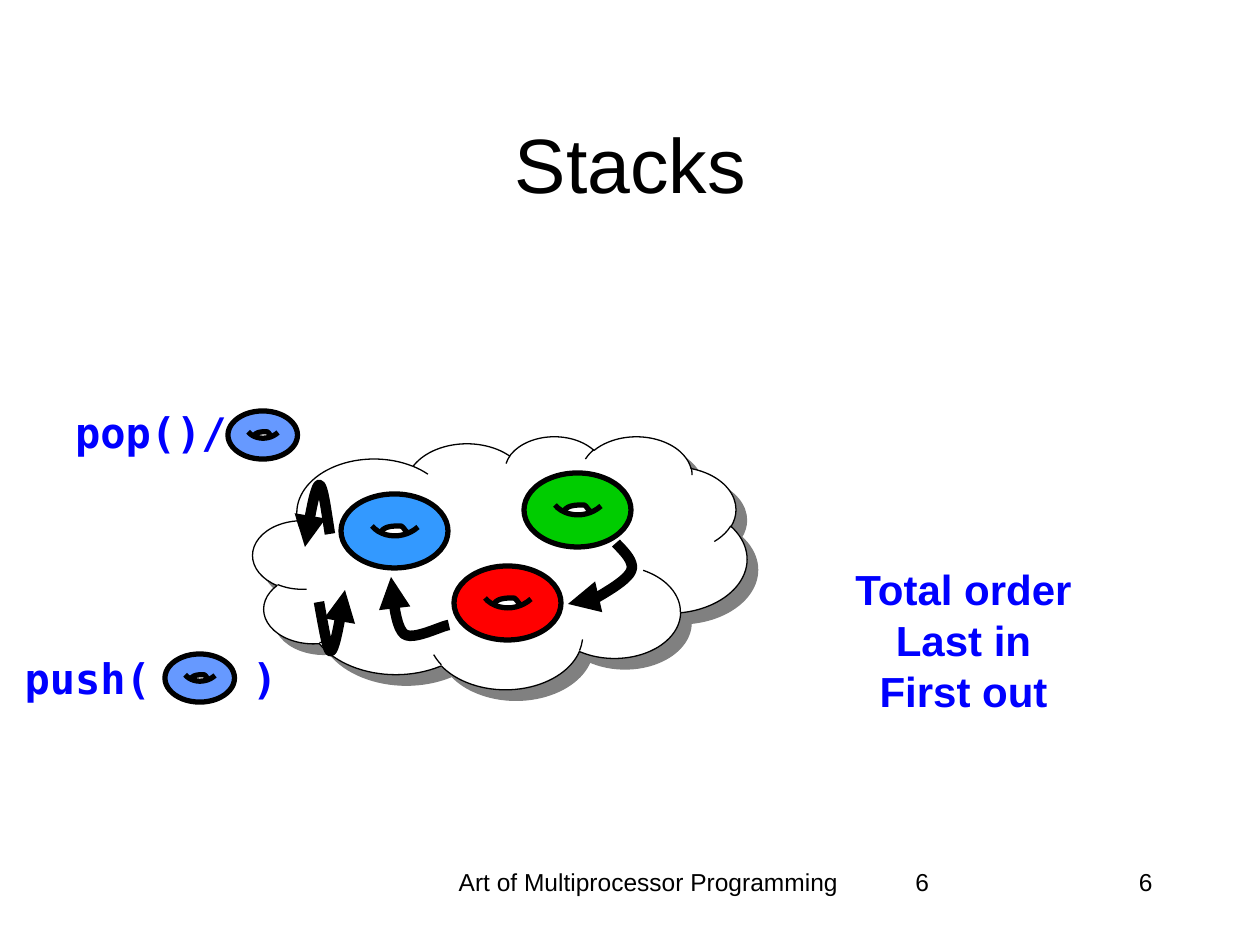
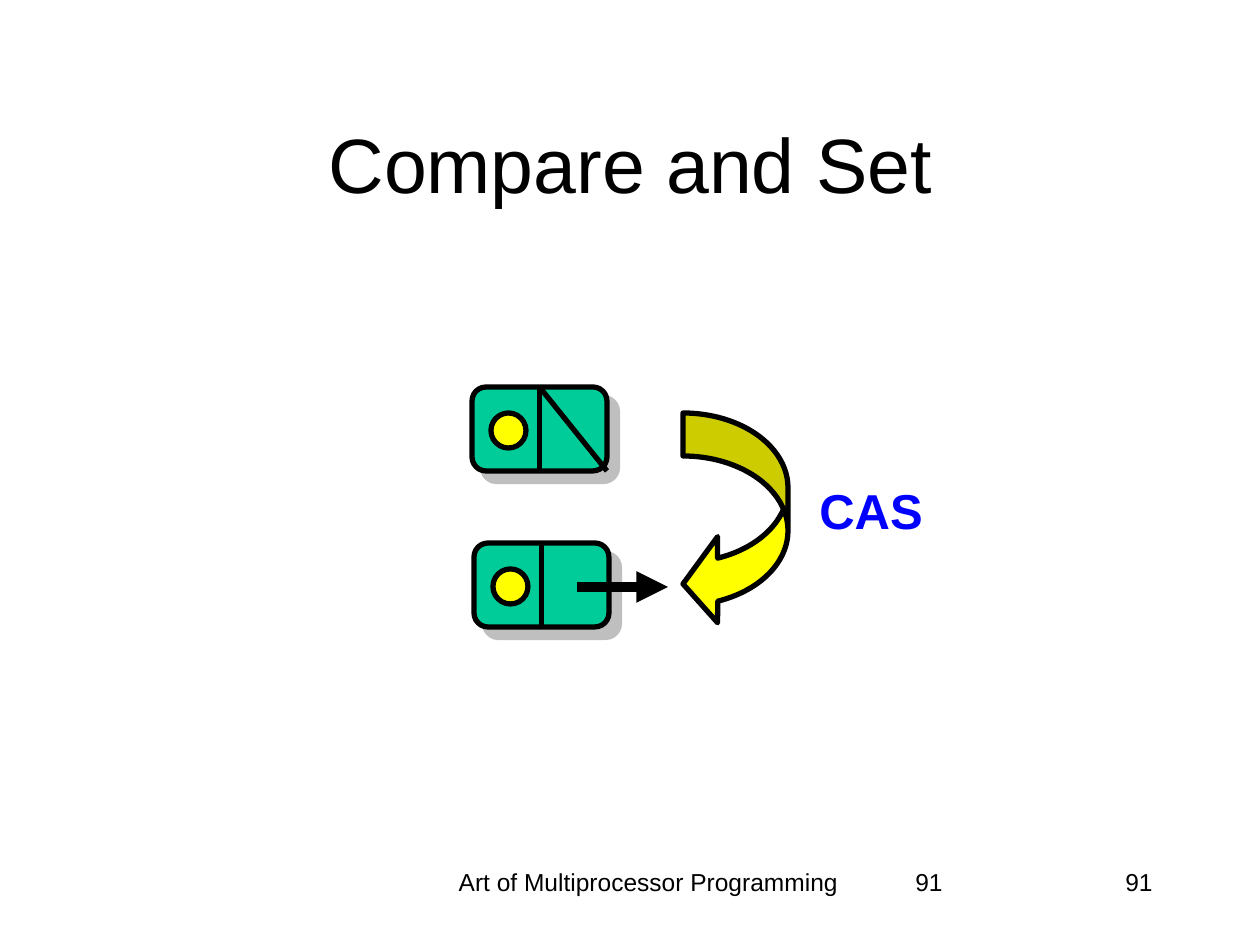
from lxml import etree
from pptx import Presentation
from pptx import util as u
from pptx.dml.color import RGBColor
from pptx.enum import shapes, text
from pptx.oxml.ns import qn

PX = 914400 / 126  # EMU in one px


class Theme:
    black, white, shade = "000000", "FFFFFF", "808080"
    blue, sky, pale = "0000FF", "3399FF", "6699FF"
    red, green, teal, yellow = "FF0000", "00CC00", "00CC99", "FFFF00"
    sans, mono = "Arial", "DejaVu Sans Mono"
    title, large, body, foot = 44, 28, 24, 14
    thin, line, thick = 0.75, 3, 6


def paint(shape, fill=None, width=Theme.line, head=False, alpha=0):
    """Set fill, line, arrowhead and shadow of a shape or connector."""
    if fill:
        shape.fill.solid()
        shape.fill.fore_color.rgb = RGBColor.from_string(fill)
    shape.line.color.rgb = RGBColor.from_string(Theme.black)
    shape.line.width = u.Pt(width)
    props = shape.element.spPr
    if head:
        etree.SubElement(props.find(qn("a:ln")), qn("a:tailEnd"), type="triangle")
    effect = etree.SubElement(props, qn("a:effectLst"))
    if alpha:
        drop = etree.SubElement(effect, qn("a:outerShdw"), dist=str(u.Pt(8.5)),
                                dir="2700000", algn="ctr", rotWithShape="0")
        tint = etree.SubElement(drop, qn("a:srgbClr"), val=Theme.shade)
        etree.SubElement(tint, qn("a:alpha"), val=str(alpha * 1000))


def label(slide, words, spot, size, color=Theme.black, font=Theme.sans,
          bold=False, align="CENTER", wrap=True, middle=False, tight=False):
    """Add a text box; each line of words is a paragraph."""
    frame = slide.shapes.add_textbox(*[round(n * PX) for n in spot]).text_frame
    frame.word_wrap = wrap
    if middle:
        frame.vertical_anchor = text.MSO_ANCHOR.MIDDLE
    frame.text = words
    for i, para in enumerate(frame.paragraphs):
        para.alignment = text.PP_ALIGN[align]
        if tight:
            para.line_spacing = 0.8
            para.space_before = u.Pt(6 if i else 0)
        para.font.name, para.font.size, para.font.bold = font, u.Pt(size), bold
        para.font.color.rgb = RGBColor.from_string(color)


kind = shapes.MSO_SHAPE
straight = shapes.MSO_CONNECTOR.STRAIGHT
deck = Presentation()
deck.slide_width, deck.slide_height = round(1260 * PX), round(945 * PX)

# Shared title and footer
pages = []
for name, number in (("Stacks", "6"), ("Compare and Set", "91")):
    page = deck.slides.add_slide(deck.slide_layouts[6])
    label(page, "Art of Multiprocessor Programming", (431, 861, 435, 63), Theme.foot)
    for side in ("LEFT", "RIGHT"):
        label(page, number, (903, 861, 262, 63), Theme.foot, align=side)
    label(page, name, (95, 84, 1071, 158), Theme.title, middle=True)
    pages.append(page)
stack, swap = pages

# Stacks: cloud
cloud = stack.shapes.add_shape(kind.CLOUD, *[round(n * PX) for n in (253, 436, 494, 253)])
paint(cloud, Theme.white, Theme.thin, alpha=100)

# Stacks: rings, each with a hole made of cubic curves
upper = [(40, 38), (44, 32), (52, 32), (60, 32), (63, 33), (65, 39), (68, 39)]
lower = [(31, 32), (42, 45), (64, 45), (77, 33)]
hole = upper + [(60, 43), (48, 43), (40, 38)]
curves = []
for x, y, scale, color in (
    (341, 494, 1, Theme.sky), (454, 566, 1, Theme.red), (524, 473, 1, Theme.green),
    (228, 411, 0.65, Theme.pale), (165, 654, 0.65, Theme.pale),
):
    spot = (x, y, 107 * scale, 74 * scale)
    paint(stack.shapes.add_shape(kind.OVAL, *[round(n * PX) for n in spot]), color)
    for part, fill, width in ((hole, Theme.white, Theme.thin),
                              (upper, None, Theme.line), (lower, None, Theme.line)):
        curves.append(([(x + a * scale, y + b * scale) for a, b in part],
                       fill, width, False))

# Stacks: bent arrows
for bend in (
    [(330, 534), (326, 509), (323, 484), (319, 485), (315, 488), (310, 515), (305, 547)],
    [(319, 602), (324, 629), (328, 654), (331, 651), (335, 649), (340, 620), (345, 590)],
    [(616, 543), (619, 547), (636, 561), (631, 571), (627, 581), (601, 595), (591, 601),
     (581, 606), (577, 606), (568, 604)],
    [(449, 625), (441, 626), (413, 641), (404, 634), (394, 625), (393, 590), (391, 577)],
):
    curves.append((bend, None, Theme.thick, True))

# Stacks: draw every curve as short segments
STEPS = 12
for points, fill, width, head in curves:
    dots = [points[0]]
    for i in range(0, len(points) - 1, 3):
        for step in range(1, STEPS + 1):
            t = step / STEPS
            mix = ((1 - t) ** 3, 3 * t * (1 - t) ** 2, 3 * t * t * (1 - t), t ** 3)
            dots.append([sum(m * p[k] for m, p in zip(mix, points[i:i + 4]))
                         for k in (0, 1)])
    dots = [(round(a * PX), round(b * PX)) for a, b in dots]
    pen = stack.shapes.build_freeform(*dots[0])
    pen.add_line_segments(dots[1:], close=bool(fill))
    form = pen.convert_to_shape()
    form.fill.background()
    paint(form, fill, width, head)

# Stacks: labels
for words, spot, font in (
    ("pop()/", (62, 410, 178, 53), Theme.mono),
    ("push(    )", (11, 656, 280, 53), Theme.mono),
    ("Total order\nLast in\nFirst out", (842, 567, 243, 155), Theme.sans),
):
    label(stack, words, spot, Theme.body, Theme.blue, font, True, wrap=False, tight=True)

# Compare and Set: two nodes, the upper one with an empty link
for x, y, empty in ((474, 543, False), (472, 387, True)):
    node = swap.shapes.add_shape(kind.ROUNDED_RECTANGLE,
                                 *[round(n * PX) for n in (x, y, 135, 84)])
    paint(node, Theme.teal, alpha=50)
    split = swap.shapes.add_connector(straight, 0, 0, 0, 0)
    split.begin_connect(node, 0)
    split.end_connect(node, 2)
    paint(split)
    ends = (x + 68, y, x + 135, y + 84) if empty else (x + 103, y + 44, x + 194, y + 44)
    link = swap.shapes.add_connector(straight, *[round(n * PX) for n in ends])
    if empty:
        link.begin_connect(node, 0)
    paint(link, width=Theme.line if empty else Theme.thick, head=not empty)
    value = swap.shapes.add_shape(kind.OVAL,
                                  *[round(n * PX) for n in (x + 19, y + 26, 35, 35)])
    paint(value, Theme.yellow)

# Compare and Set: swap arrow
arrow = swap.shapes.add_shape(kind.CURVED_LEFT_ARROW,
                              *[round(n * PX) for n in (683, 413, 105, 214)])
for i, ratio in enumerate((0.41, 0.82, 0.33)):
    arrow.adjustments[i] = ratio
paint(arrow, Theme.yellow)
label(swap, "CAS", (806, 474, 130, 72), Theme.large, Theme.blue, bold=True, wrap=False)

deck.save("out.pptx")
